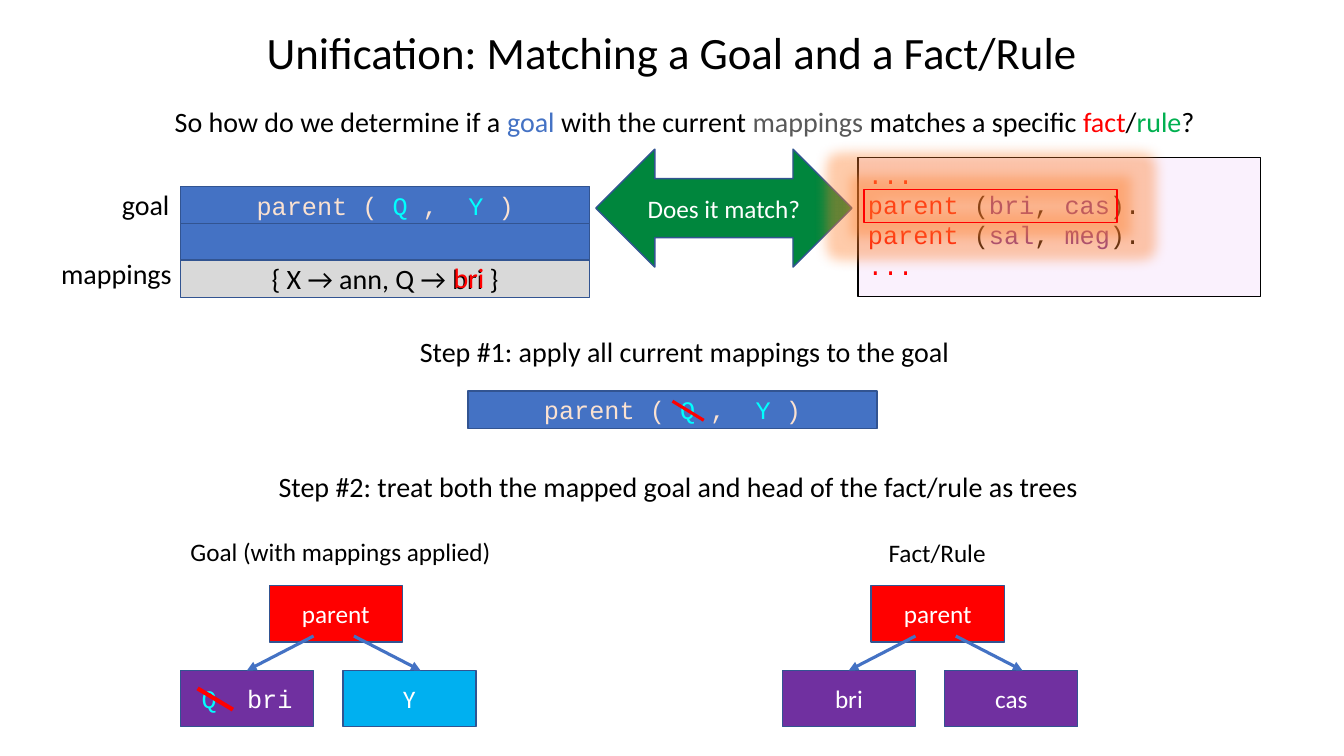
import dataclasses
import typing

import lxml.etree
import pptx
import pptx.dml.color
import pptx.enum.shapes
import pptx.enum.text
import pptx.oxml.ns
import pptx.util

Inches = pptx.util.Inches
Shape = pptx.enum.shapes.MSO_SHAPE
Align = pptx.enum.text.PP_ALIGN
Anchor = pptx.enum.text.MSO_ANCHOR
qn = pptx.oxml.ns.qn

COLORS = {
    "black": "000000", "white": "FFFFFF", "grey": "595959", "silver": "D9D9D9",
    "blue": "4472C4", "edge": "325491", "sky": "00B0F0", "cyan": "00FFFF",
    "red": "FF0000", "green": "00B050", "arrow": "00863D", "purple": "7030A0",
    "peach": "FBE2D1", "lilac": "FAF1FD", "glow": "FF7F2B",
}
SANS, MONO = "Calibri", "Courier New"

Run = tuple[str, str]
Box = tuple[float, float, float, float]


@dataclasses.dataclass
class Label:
    box: Box
    runs: list[Run]
    size: int = 20
    align: Align = Align.CENTER
    wrap: bool = True


@dataclasses.dataclass
class Block:
    box: Box
    fill: typing.Optional[str]
    runs: list[Run] = dataclasses.field(default_factory=list)
    font: str = SANS
    size: int = 18
    preset: Shape = Shape.RECTANGLE
    edge: str = "edge"
    weight: float = 1


@dataclasses.dataclass
class Tree:
    left: float
    root: list[Run]
    first: list[Run]
    second: list[Run]
    second_fill: str
    first_font: str = SANS


def rgb(name: str) -> pptx.dml.color.RGBColor:
    return pptx.dml.color.RGBColor.from_string(COLORS[name])


def write(frame, lines: list[list[Run]], *, size: int = 20, font: str = SANS,
          align: Align = Align.CENTER, anchor: Anchor = Anchor.TOP,
          wrap: bool = True, spacing: typing.Optional[float] = None) -> None:
    frame.word_wrap = wrap
    frame.vertical_anchor = anchor
    for index, runs in enumerate(lines):
        paragraph = frame.add_paragraph() if index else frame.paragraphs[0]
        paragraph.alignment = align
        paragraph.line_spacing = spacing
        for text, color in runs:
            run = paragraph.add_run()
            run.text = text
            run.font.name = font
            run.font.size = pptx.util.Pt(size)
            run.font.color.rgb = rgb(color)


def add_text(slide, box: Box, lines: list[list[Run]], **text_format) -> None:
    frame = slide.shapes.add_textbox(*map(Inches, box)).text_frame
    write(frame, lines, **text_format)
    frame.auto_size = pptx.enum.text.MSO_AUTO_SIZE.SHAPE_TO_FIT_TEXT


def add_block(slide, block: Block):
    shape = slide.shapes.add_shape(block.preset, *map(Inches, block.box))
    shape.shadow.inherit = False
    if block.fill:
        shape.fill.solid()
        shape.fill.fore_color.rgb = rgb(block.fill)
    else:
        shape.fill.background()
    shape.line.color.rgb = rgb(block.edge)
    shape.line.width = pptx.util.Pt(block.weight)
    if block.runs:
        write(shape.text_frame, [block.runs], size=block.size, font=block.font,
              anchor=Anchor.MIDDLE)
    return shape


def add_glow(shape, color: str, radius: float, opacity: int) -> None:
    effects = shape.element.spPr.find(qn("a:effectLst"))
    glow = lxml.etree.SubElement(effects, qn("a:glow"), rad=str(Inches(radius)))
    tint = lxml.etree.SubElement(glow, qn("a:srgbClr"), val=COLORS[color])
    lxml.etree.SubElement(tint, qn("a:alpha"), val=str(opacity * 1000))


def add_line(slide, start: tuple[float, float], end: tuple[float, float],
             color: str, weight: float, arrow: bool = False):
    line = slide.shapes.add_connector(
        pptx.enum.shapes.MSO_CONNECTOR.STRAIGHT, *map(Inches, start + end))
    line.line.color.rgb = rgb(color)
    line.line.width = pptx.util.Pt(weight)
    if arrow:
        lxml.etree.SubElement(line.line._get_or_add_ln(), qn("a:tailEnd"), type="triangle")
    lxml.etree.SubElement(line.element.spPr, qn("a:effectLst"))
    return line


def add_tree(slide, tree: Tree) -> None:
    root_left, second_left = tree.left + 0.88, tree.left + 1.61
    node = (1.32, 0.56)
    add_block(slide, Block((root_left, 5.81, *node), "red", tree.root))
    first = add_block(slide, Block((tree.left, 6.65, *node), "purple", tree.first,
                                   tree.first_font))
    add_block(slide, Block((second_left, 6.65, *node), tree.second_fill, tree.second))
    to_first = add_line(slide, (root_left + 0.44, 6.31), (tree.left + 0.66, 6.65),
                        "blue", 2.25, arrow=True)
    to_first.end_connect(first, 0)
    add_line(slide, (root_left + 0.84, 6.31), (second_left + 0.77, 6.65),
             "blue", 2.25, arrow=True)


def fact(first: str, second: str) -> list[Run]:
    return [("parent ", "red"), ("(", "black"), (first, "purple"), (", ", "black"),
            (second, "purple"), (").", "black")]


GOAL = [("parent ( ", "peach"), ("Q ", "cyan"), (",  ", "peach"), ("Y ", "cyan"),
        (")", "peach")]
ELLIPSIS = [("...", "red")]
PARENT = [("parent", "white")]

LABELS = [
    Label((1.48, 0.99, 10.62, 0.44), [
        ("So how do we determine if a ", "black"), ("goal", "blue"),
        (" with the current ", "black"), ("mappings", "grey"),
        (" matches a specific ", "black"), ("fact", "red"), ("/", "black"),
        ("rule", "green"), ("?", "black")]),
    Label((2.04, 3.27, 9.5, 0.44),
          [("Step #1: apply all current mappings to the goal", "black")]),
    Label((2.01, 4.61, 9.5, 0.44),
          [("Step #2: treat both the mapped goal and head of the fact/rule as trees ",
            "black")]),
    Label((7.63, 5.28, 3.33, 0.4), [("Fact/Rule", "black")], 18),
    Label((1.79, 5.27, 3.24, 0.4), [("Goal (with mappings applied)", "black")], 18,
          Align.LEFT, wrap=False),
    Label((0.12, 2.5, 2.07, 0.44), [("mappings", "black")]),
    Label((0.41, 1.81, 2.07, 0.44), [("goal", "black")]),
    Label((4.4, 2.54, 0.6, 0.44), [("bri", "red")], align=Align.LEFT),
]
BLOCKS = [
    Block((4.64, 3.88, 4.06, 0.37), "blue", GOAL, MONO),
    Block((1.79, 2.58, 4.06, 0.37), "silver", [("{ X → ann, Q → bri }", "black")], size=20),
    Block((1.79, 2.21, 4.06, 0.37), "blue"),
    Block((1.79, 1.85, 4.06, 0.37), "blue", GOAL, MONO),
    Block((5.91, 1.48, 2.54, 1.17), "arrow", [("Does it match?", "white")],
          preset=Shape.LEFT_RIGHT_ARROW),
    Block((8.51, 1.56, 3.99, 1.38), "lilac", edge="black", weight=0.75),
]
TREES = [
    Tree(7.76, PARENT, [("bri", "white")], [("cas", "white")], "purple"),
    Tree(1.79, PARENT, [("Q  ", "cyan"), ("bri", "white")], [("Y", "white")], "sky", MONO),
]


def main() -> None:
    deck = pptx.Presentation()
    deck.slide_width, deck.slide_height = Inches(13.33), Inches(7.5)
    slide = deck.slides.add_slide(deck.slide_layouts[5])

    title = slide.shapes.title
    title.left, title.top, title.width, title.height = map(Inches, (1, -0.08, 11.33, 1.25))
    write(title.text_frame, [[("Unification: Matching a Goal and a Fact/Rule", "black")]],
          size=32, anchor=Anchor.MIDDLE, spacing=0.9)

    for block in BLOCKS:
        add_block(slide, block)
    for tree in TREES:
        add_tree(slide, tree)
    for label in LABELS:
        add_text(slide, label.box, [label.runs], size=label.size, align=label.align,
                 wrap=label.wrap)

    add_text(slide, (8.51, 1.53, 4.09, 1.31),
             [ELLIPSIS, fact("bri", "cas"), fact("sal", "meg"), ELLIPSIS],
             size=18, font=MONO, align=Align.LEFT)
    matched_fact = add_block(slide, Block((8.57, 1.88, 2.51, 0.33), None, edge="red"))
    add_glow(matched_fact, "glow", 0.25, 40)

    add_line(slide, (6.67, 3.98), (6.98, 4.17), "red", 2.25)
    add_line(slide, (2.31, 7.04), (1.96, 6.83), "red", 3)
    deck.save("out.pptx")


if __name__ == "__main__":
    main()
